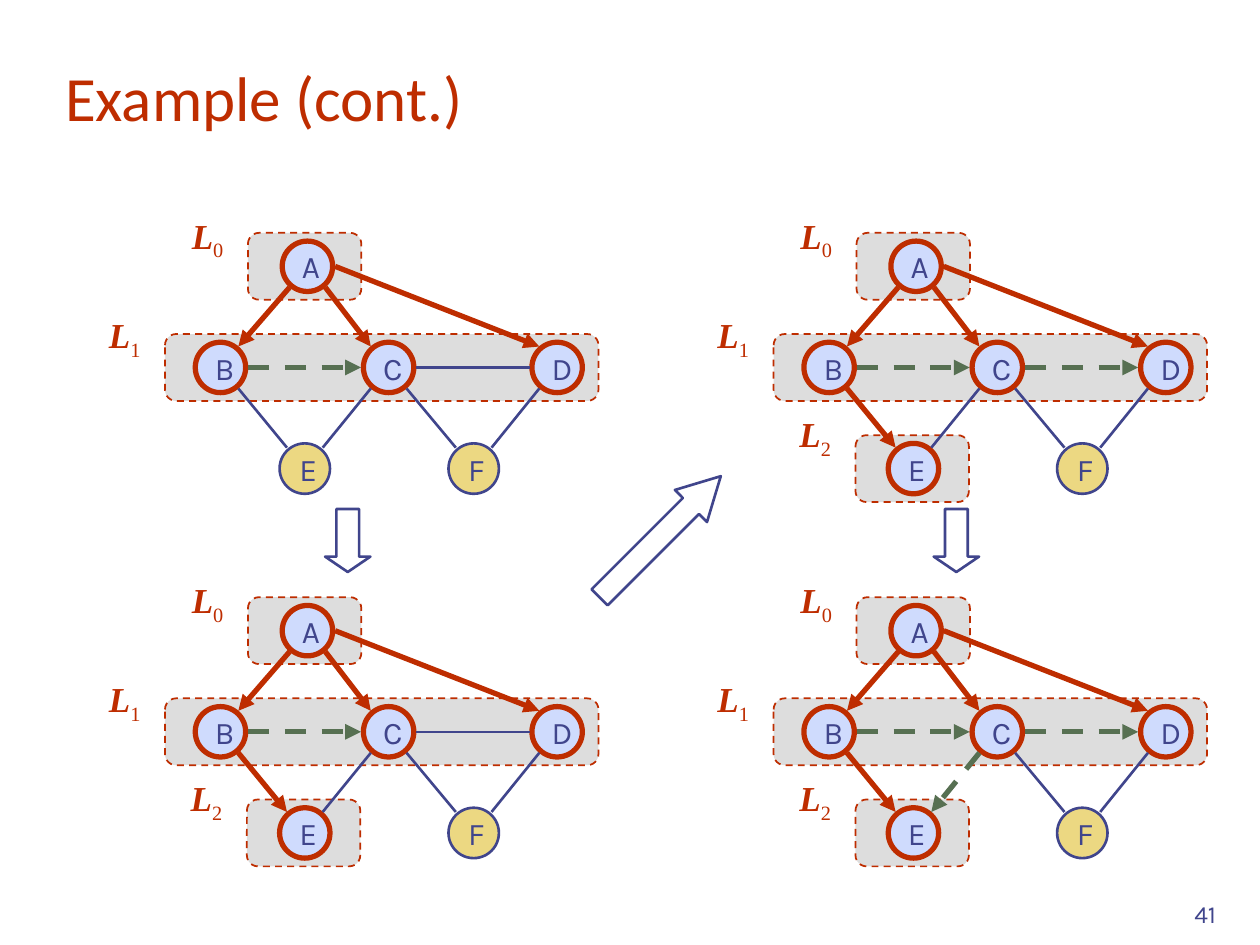
import pptx
import pptx.dml.color
import pptx.enum.dml
import pptx.enum.shapes
import pptx.enum.text
import pptx.oxml
import pptx.oxml.ns
import pptx.util

Pt = pptx.util.Pt
SHAPE = pptx.enum.shapes.MSO_SHAPE
DASH = pptx.enum.dml.MSO_LINE.DASH
ANCHOR = pptx.enum.text.MSO_ANCHOR
ALIGN = pptx.enum.text.PP_ALIGN

COLORS = {
    "red": "BE2D00",
    "indigo": "40458C",
    "green": "577052",
    "band": "DDDDDD",
    "visited": "CFDBFD",
    "unvisited": "ECD882",
}

DIAMETER = 28.8
ROWS = [33.4, 91.2, 149]
BAND_HEIGHT = 38.2
LEVELS = [(87, 64.8), (39.6, 247.7), (86.4, 64.8)]  # left, width of each band
LABEL_GAP, LABEL_STEP = 39.2, 56.7

# vertex: centre x, row, stage in which it is visited (None = never)
VERTICES = {
    "C": (167.4, 1, 0),
    "B": (71.3, 1, 0),
    "A": (121, 0, 0),
    "E": (119.5, 2, 1),
    "D": (263.7, 1, 0),
    "F": (216, 2, None),
}

# Where an edge meets a vertex, from the centre of the vertex
PORTS = {
    "E": (15.8, 0), "W": (-15.8, 0),
    "NE": (10.2, -12), "NW": (-10.2, -12),
    "SE": (10.2, 12), "SW": (-10.2, 12),
}

# start, port, end, port, kind of edge, stage in which it is explored
EDGES = [
    ("A", "SW", "B", "NE", "discovery", 0),
    ("A", "SE", "C", "NW", "discovery", 0),
    ("A", "E", "D", "NW", "discovery", 0),
    ("B", "E", "C", "W", "cross", 0),
    ("B", "SE", "E", "NW", "discovery", 1),
    ("C", "E", "D", "W", "cross", 2),
    ("C", "SW", "E", "NE", "cross", 3),
    ("C", "SE", "F", "NW", "unexplored", 0),
    ("D", "SW", "F", "NE", "unexplored", 0),
]

# kind of edge: colour, width, dash, arrowhead
EDGE_STYLES = {
    "unexplored": ("indigo", 1.5, None, False),
    "discovery": ("red", 3, None, True),
    "cross": ("green", 3, DASH, True),
}


def rgb(name):
    return pptx.dml.color.RGBColor.from_string(COLORS[name])


def add_text(paragraph, text, font="Karla", size=18, color="indigo",
             bold=False, italic=False, baseline=None):
    run = paragraph.add_run()
    run.text = text
    run.font.name = font
    run.font.size = Pt(size)
    run.font.bold = bold
    run.font.italic = italic
    run.font.color.rgb = rgb(color)
    if baseline is not None:
        run._r.get_or_add_rPr().set("baseline", str(baseline * 1000))


def style_line(line, color, width, dash=None):
    line.color.rgb = rgb(color)
    line.width = Pt(width)
    if dash is not None:
        line.dash_style = dash


def add_outlined(shapes, kind, left, top, width, height, fill, color, weight, dash=None):
    shape = shapes.add_shape(kind, Pt(left), Pt(top), Pt(width), Pt(height))
    shape.shadow.inherit = False
    if fill:
        shape.fill.solid()
        shape.fill.fore_color.rgb = rgb(fill)
    else:
        shape.fill.background()
    style_line(shape.line, color, weight, dash)
    return shape


def add_level(shapes, left, top, level):
    """Band behind one row of vertices, with its label L0, L1 or L2."""
    band_left, band_width = LEVELS[level]
    add_outlined(shapes, SHAPE.ROUNDED_RECTANGLE, left + band_left,
                 top + ROWS[level] - BAND_HEIGHT / 2, band_width, BAND_HEIGHT,
                 "band", "red", 1, DASH)
    label = shapes.add_textbox(Pt(left + band_left - LABEL_GAP),
                               Pt(top + level * LABEL_STEP), Pt(36.7), Pt(31))
    label.text_frame.word_wrap = True
    paragraph = label.text_frame.paragraphs[0]
    serif = {"font": "Times New Roman", "size": 20, "color": "red"}
    add_text(paragraph, "L", bold=True, italic=True, **serif)
    add_text(paragraph, str(level), baseline=-25, **serif)


def add_vertex(shapes, left, top, name, stage):
    x, row, visited_at = VERTICES[name]
    visited = visited_at is not None and stage >= visited_at
    look = ("visited", "red", 3) if visited else ("unvisited", "indigo", 1.5)
    vertex = add_outlined(shapes, SHAPE.OVAL, left + x - DIAMETER / 2,
                          top + ROWS[row] - DIAMETER / 2, DIAMETER, DIAMETER, *look)
    frame = vertex.text_frame
    frame.word_wrap = False
    frame.vertical_anchor = ANCHOR.MIDDLE
    frame.paragraphs[0].alignment = ALIGN.LEFT
    add_text(frame.paragraphs[0], name)


def port_position(left, top, name, port):
    x, row, _ = VERTICES[name]
    dx, dy = PORTS[port]
    return Pt(left + x + dx), Pt(top + ROWS[row] + dy)


def add_edge(shapes, left, top, edge, stage):
    start, start_port, end, end_port, kind, explored_at = edge
    color, width, dash, arrow = EDGE_STYLES[kind if stage >= explored_at else "unexplored"]
    connector = shapes.add_connector(pptx.enum.shapes.MSO_CONNECTOR.STRAIGHT,
                                     *port_position(left, top, start, start_port),
                                     *port_position(left, top, end, end_port))
    style_line(connector.line, color, width, dash)
    properties = connector._element.spPr
    if arrow:
        head = pptx.oxml.parse_xml(
            f'<a:tailEnd {pptx.oxml.ns.nsdecls("a")} type="triangle"/>')
        connector.line._get_or_add_ln().append(head)
    properties.append(pptx.oxml.parse_xml(f'<a:effectLst {pptx.oxml.ns.nsdecls("a")}/>'))


def add_graph(slide, left, top, stage):
    """The graph as it stands at one stage of the breadth-first search."""
    shapes = slide.shapes.add_group_shape().shapes
    for level in range(3 if stage >= 1 else 2):
        add_level(shapes, left, top, level)
    for name in VERTICES:
        add_vertex(shapes, left, top, name, stage)
    for edge in EDGES:
        add_edge(shapes, left, top, edge, stage)


def add_step_arrow(slide, center_x, center_y, length, rotation, head):
    breadth = 25.9
    arrow = add_outlined(slide.shapes, SHAPE.RIGHT_ARROW, center_x - length / 2,
                         center_y - breadth / 2, length, breadth, None, "indigo", 1.5)
    arrow.adjustments[0] = 0.5
    arrow.adjustments[1] = head
    arrow.rotation = rotation


def add_title(slide, text):
    title = slide.shapes.title
    title.left, title.top, title.width, title.height = Pt(30), Pt(24), Pt(672), Pt(56)
    title.text_frame.vertical_anchor = ANCHOR.BOTTOM
    paragraph = title.text_frame.paragraphs[0]
    paragraph.alignment = ALIGN.LEFT
    add_text(paragraph, text, font="Calibri", size=36, color="red")


def add_page_number(slide, number):
    box = slide.shapes.add_textbox(Pt(552), Pt(498), Pt(150), Pt(36))
    box.text_frame.word_wrap = True
    box.text_frame.vertical_anchor = ANCHOR.BOTTOM
    box.text_frame.paragraphs[0].alignment = ALIGN.RIGHT
    add_text(box.text_frame.paragraphs[0], number, size=14)


def main():
    deck = pptx.Presentation()
    deck.slide_width, deck.slide_height = Pt(720), Pt(540)
    slide = deck.slides.add_slide(deck.slide_layouts[5])
    add_title(slide, "Example (cont.)")
    columns, rows = (54.7, 402.5), (118.8, 327)
    for column, left in enumerate(columns):
        add_step_arrow(slide, left + 144, 308.9, 36, 90, 0.34)
        for row, top in enumerate(rows):
            add_graph(slide, left, top, stage=2 * column + row)
    add_step_arrow(slide, 377.3, 306.7, 97.9, 315, 0.93)
    add_page_number(slide, "41")
    deck.save("out.pptx")


if __name__ == "__main__":
    main()
